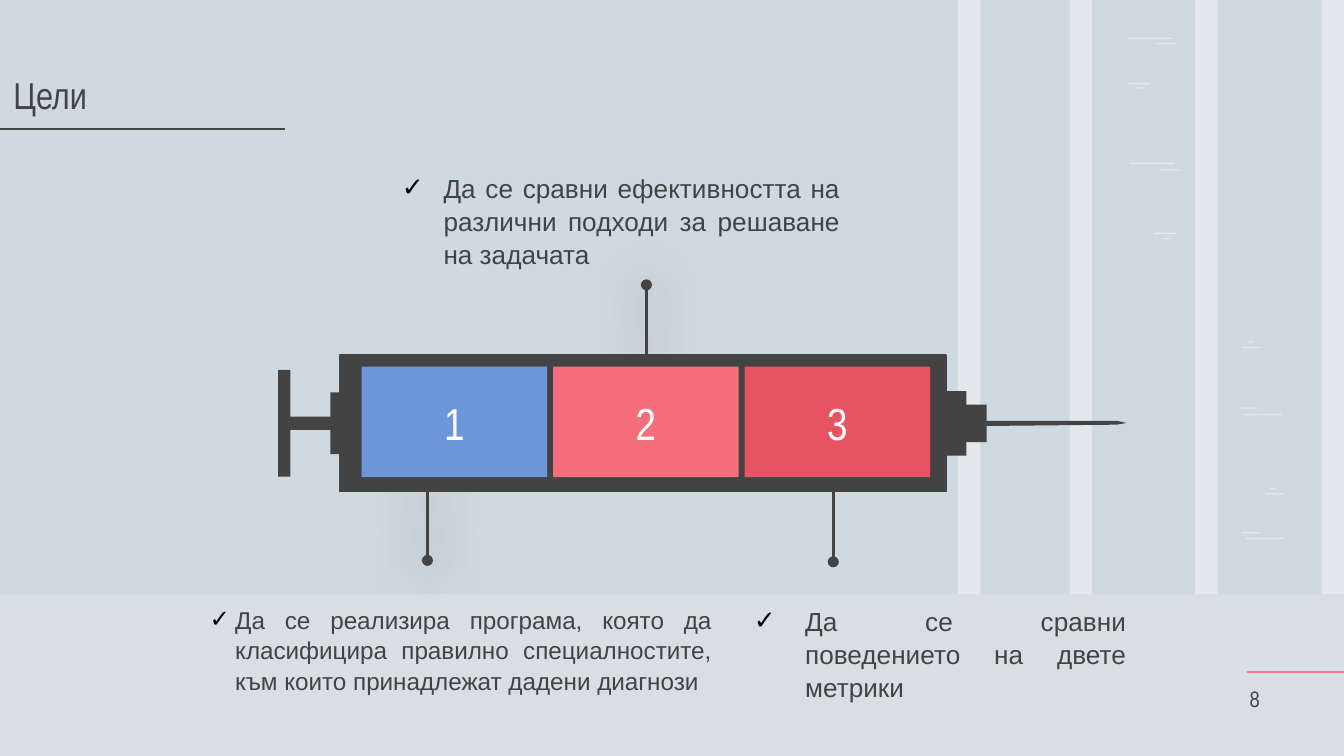
from lxml import etree
from pptx import Presentation
from pptx.dml.color import RGBColor
from pptx.enum.shapes import MSO_CONNECTOR, MSO_SHAPE
from pptx.enum.text import MSO_ANCHOR, MSO_AUTO_SIZE, PP_ALIGN
from pptx.oxml.ns import qn
from pptx.util import Pt

RECTANGLE = MSO_SHAPE.RECTANGLE
STRAIGHT = MSO_CONNECTOR.STRAIGHT
LEFT, CENTER, JUSTIFY = PP_ALIGN.LEFT, PP_ALIGN.CENTER, PP_ALIGN.JUSTIFY
TOP, MIDDLE, BOTTOM = MSO_ANCHOR.TOP, MSO_ANCHOR.MIDDLE, MSO_ANCHOR.BOTTOM

COLORS = {
    "background": "CFD9E0", "white": "FFFFFF", "black": "000000",
    "dark": "434343", "accent": "FF787F",
    "blue": "6D97D9", "pink": "F56E7C", "red": "E65463",
}
SLIDE_WIDTH, SLIDE_HEIGHT = 720, 405
FLOOR_TOP = 318.2

TITLE = "Цели"
PAGE_NUMBER = "8"
# text, box (left, top, width, height), size, indent
GOALS = [
    ("Да се сравни ефективността на различни подходи за решаване на задачата",
     (215.3, 90.7, 234.7, 33.8), 14, 22.3),
    ("Да се реализира програма, която да класифицира правилно специалностите, "
     "към които принадлежат дадени диагнози",
     (112.3, 322.6, 268.6, 61.2), 13, 13.7),
    ("Да се сравни поведението на двете метрики",
     (403.9, 322.6, 199.4, 34.6), 14, 27.4),
]

BAND_LEFTS = [513.2, 573, 640.3, 708]
BAND_WIDTH = 12
DASH_HEIGHT = 0.7
# left, top, width
DASHES = [
    (604.1, 20.2, 23.8), (619.2, 23, 11.5), (605.5, 87.1, 23.8), (621.4, 90.7, 11),
    (604.8, 44.6, 11.5), (609.1, 46.8, 4.3), (618.5, 124.6, 11.5), (622.8, 127.4, 4.3),
    (667.4, 288, 20.9), (665.3, 285.1, 10), (666.7, 221.8, 20.2), (663.8, 218.2, 10),
    (677.5, 264.2, 10), (680.4, 261.4, 3.6), (665.3, 185.8, 10.4), (668.2, 182.9, 3.6),
]
# start, end, color
RULES = [((668.2, 360), (720, 360), "accent"), ((-1.4, 69.1), (152.6, 69.1), "dark")]
# x, start y, end y, has glow
LEADERS = [(229, 246.2, 300.2, True), (446.4, 247, 301, False), (346.3, 209.5, 152.6, True)]

BARREL = (182.2, 190.1, 324.6, 73.4)
SYRINGE_PARTS = [
    (491, 209.5, 26.7, 34.6),    # shoulder
    (513.4, 216.7, 15.1, 20.2),  # needle hub
    (186.5, 205.9, 28.8, 41.8),  # inner seal
    BARREL,
    (149, 198.2, 6.7, 57.2),     # thumb rest
    (154.1, 223.2, 25.9, 7.2),   # plunger rod
    (177, 210.2, 6, 33.2),       # rear collar
]
NEEDLE = [(527.8, 225.4), (598.3, 225.4), (603.4, 226.6), (598.3, 227.5), (527.8, 228.2)]
CHAMBERS = [("1", "blue"), ("2", "pink"), ("3", "red")]
CHAMBER_LEFT, CHAMBER_TOP = 193.7, 196.5
CHAMBER_WIDTH, CHAMBER_HEIGHT, CHAMBER_PITCH = 99.4, 59.2, 102.6


def rgb(name):
    return RGBColor.from_string(COLORS[name])


def points(values):
    return [Pt(value) for value in values]


def paint(shape, color, opacity=None):
    shape.shadow.inherit = False
    shape.fill.solid()
    shape.fill.fore_color.rgb = rgb(color)
    shape.line.fill.background()
    if opacity:
        fill_color = shape.element.spPr.find(qn("a:solidFill"))[0]
        etree.SubElement(fill_color, qn("a:alpha"), val=str(opacity * 1000))
    return shape


def add_block(slide, box, color, opacity=None):
    return paint(slide.shapes.add_shape(RECTANGLE, *points(box)), color, opacity)


def add_line(slide, start, end, color, dot=False, glow=False):
    """Draw a line, optionally with a round end and a soft shadow."""
    connector = slide.shapes.add_connector(STRAIGHT, *points(start + end))
    connector.line.color.rgb = rgb(color)
    connector.line.width = Pt(1.5)
    properties = connector.element.spPr
    if dot:
        etree.SubElement(properties.find(qn("a:ln")), qn("a:tailEnd"), type="oval")
    effects = etree.SubElement(properties, qn("a:effectLst"))
    if glow:
        shadow = etree.SubElement(effects, qn("a:outerShdw"), blurRad=str(Pt(28.1)),
                                  dist=str(Pt(1.5)), dir="5400000",
                                  algn="bl", rotWithShape="0")
        shade = etree.SubElement(shadow, qn("a:srgbClr"), val=COLORS["black"])
        etree.SubElement(shade, qn("a:alpha"), val="73000")


def write(shape, text, size, font, color="dark", align=LEFT, anchor=BOTTOM,
          margins=(7.2, 7.2, 7.2, 7.2)):
    """Fill a shape with one formatted paragraph; margins are left, top, right, bottom."""
    frame = shape.text_frame
    frame.text = text
    frame_format = {"word_wrap": True, "auto_size": MSO_AUTO_SIZE.NONE,
                    "vertical_anchor": anchor}
    for side, margin in zip(("left", "top", "right", "bottom"), margins):
        frame_format["margin_" + side] = Pt(margin)
    for name, value in frame_format.items():
        setattr(frame, name, value)
    paragraph = frame.paragraphs[0]
    paragraph.alignment = align
    run_font = paragraph.runs[0].font
    for name, value in {"size": Pt(size), "name": font, "bold": False}.items():
        setattr(run_font, name, value)
    run_font.color.rgb = rgb(color)
    return paragraph


def add_check_bullet(paragraph, indent):
    paragraph.space_before = Pt(0)
    paragraph.line_spacing = 1.05
    properties = paragraph._p.get_or_add_pPr()
    properties.set("marL", str(Pt(indent)))
    properties.set("indent", str(-Pt(indent)))
    bullet_color = etree.SubElement(properties, qn("a:buClr"))
    etree.SubElement(bullet_color, qn("a:srgbClr"), val=COLORS["black"])
    etree.SubElement(properties, qn("a:buChar"), char="✓")


def place(slide, shape, box):
    """Position a placeholder and bring it to the front."""
    shape.left, shape.top, shape.width, shape.height = points(box)
    slide.shapes.element.append(shape.element)


def add_backdrop(slide):
    slide.background.fill.solid()
    slide.background.fill.fore_color.rgb = rgb("background")
    for left in BAND_LEFTS:
        add_block(slide, (left, 0, BAND_WIDTH, FLOOR_TOP), "white", 40)
    for left, top, width in DASHES:
        add_block(slide, (left, top, width, DASH_HEIGHT), "white", 40)
    add_block(slide, (0, FLOOR_TOP, SLIDE_WIDTH, SLIDE_HEIGHT - FLOOR_TOP), "white", 17)
    for start, end, color in RULES:
        add_line(slide, start, end, color)


def add_syringe(slide):
    for x, start, end, glow in LEADERS:
        add_line(slide, (x, start), (x, end), "dark", dot=True, glow=glow)
    for box in SYRINGE_PARTS:
        part = add_block(slide, box, "dark")
        if box == BARREL:
            part.line.color.rgb = rgb("dark")
            part.line.width = Pt(0.75)
    outline = [tuple(points(point)) for point in NEEDLE]
    builder = slide.shapes.build_freeform(*outline[0])
    builder.add_line_segments(outline[1:])
    paint(builder.convert_to_shape(), "dark")
    for index, (label, color) in enumerate(CHAMBERS):
        left = CHAMBER_LEFT + index * CHAMBER_PITCH
        chamber = add_block(slide, (left, CHAMBER_TOP, CHAMBER_WIDTH, CHAMBER_HEIGHT), color)
        write(chamber, label, 24, "Arial Narrow", "white", CENTER, MIDDLE, (0, 0.7, 0, 0))


def add_texts(slide):
    title, *bodies = list(slide.placeholders)
    for body, (text, box, size, indent) in zip(bodies, GOALS):
        place(slide, body, box)
        paragraph = write(body, text, size, "Arial", align=JUSTIFY, anchor=TOP,
                          margins=(0, 0.7, 0, 0))
        add_check_bullet(paragraph, indent)
    for unused in bodies[len(GOALS):]:
        slide.shapes.element.remove(unused.element)
    page_box = slide.shapes.add_textbox(*points((662.4, 357.8, 25.2, 31)))
    write(page_box, PAGE_NUMBER, 12, "Arial Narrow")
    place(slide, title, (0, 46.8, 160.6, 23))
    write(title, TITLE, 20, "Arial Narrow")


def main():
    presentation = Presentation()
    presentation.slide_width, presentation.slide_height = points((SLIDE_WIDTH, SLIDE_HEIGHT))
    comparison_layout = presentation.slide_layouts[4]
    slide = presentation.slides.add_slide(comparison_layout)
    add_backdrop(slide)
    add_syringe(slide)
    add_texts(slide)
    presentation.save("out.pptx")


if __name__ == "__main__":
    main()
